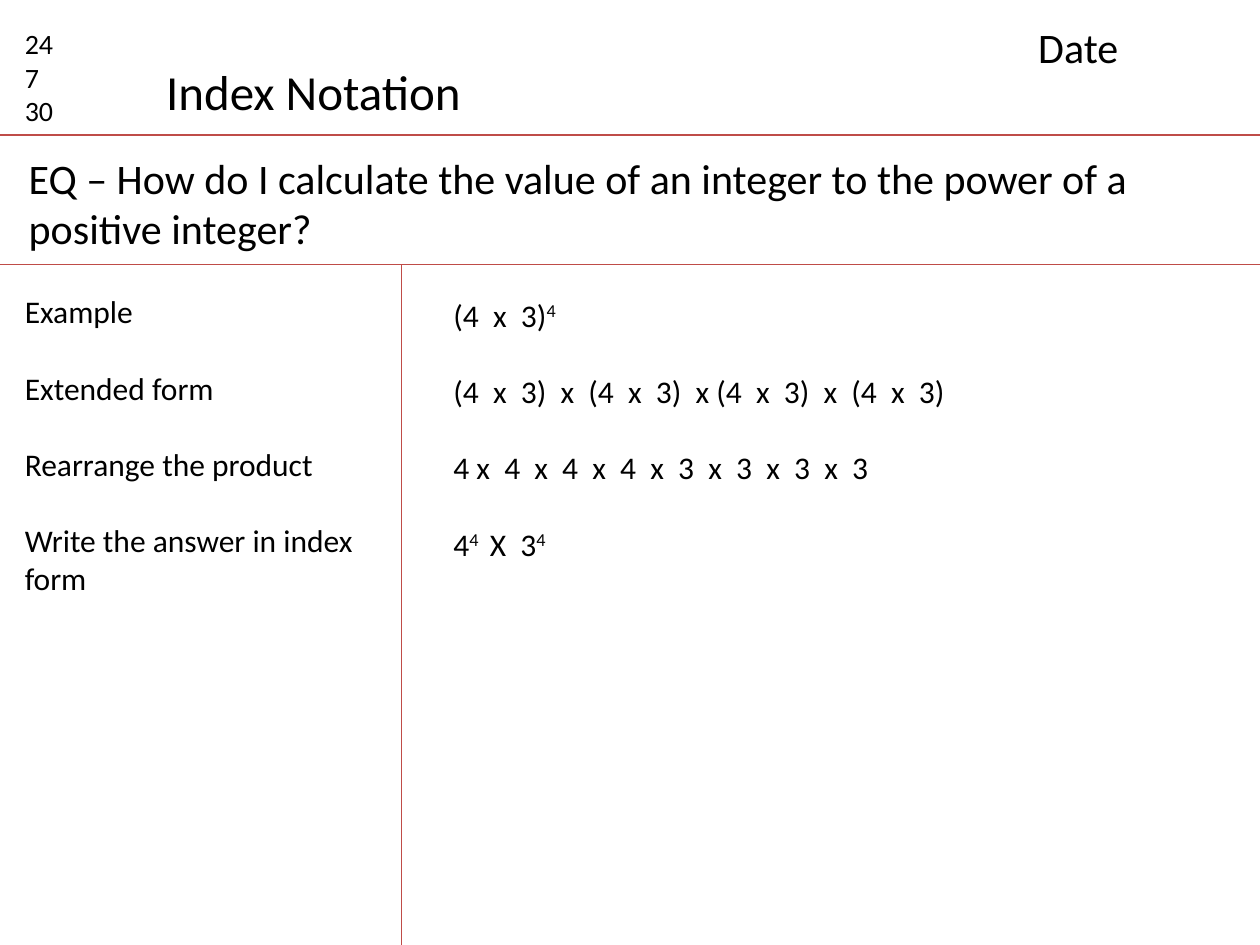
"""Build the Index Notation notes slide."""
import lxml.etree
import pptx
import pptx.dml.color
import pptx.enum.shapes
import pptx.enum.text
import pptx.oxml.ns
import pptx.util

Cm = pptx.util.Cm
Pt = pptx.util.Pt
RED = pptx.dml.color.RGBColor(0xBF, 0x4C, 0x48)
BLACK = pptx.dml.color.RGBColor(0, 0, 0)

WIDTH, HEIGHT = 25.4, 19.05
TITLE_RULE, QUESTION_RULE, MARGIN_RULE = 2.72, 5.33, 8.1

deck = pptx.Presentation()
deck.slide_width, deck.slide_height = Cm(WIDTH), Cm(HEIGHT)
page = deck.slides.add_slide(deck.slide_layouts[6])


def add_rule(x1, y1, x2, y2):
    rule = page.shapes.add_connector(
        pptx.enum.shapes.MSO_CONNECTOR.STRAIGHT, Cm(x1), Cm(y1), Cm(x2), Cm(y2))
    rule.line.color.rgb = RED
    rule.line.width = Pt(0.75)
    lxml.etree.SubElement(rule._element.spPr, pptx.oxml.ns.qn("a:effectLst"))


def add_text(left, top, width, height, size, lines, gap=0, wrap=True):
    box = page.shapes.add_textbox(Cm(left), Cm(top), Cm(width), Cm(height))
    frame = box.text_frame
    frame.word_wrap = wrap
    frame.auto_size = pptx.enum.text.MSO_AUTO_SIZE.SHAPE_TO_FIT_TEXT
    for row, line in enumerate(lines):
        para = frame.paragraphs[0] if row == 0 else frame.add_paragraph()
        if row and gap:
            para.space_before = Pt(gap)
        for position, part in enumerate(line):
            span = para.add_run()
            span.text = part
            span.font.name = "Calibri"
            span.font.size = Pt(size)
            span.font.color.rgb = BLACK
            if position % 2:
                span._r.get_or_add_rPr().set("baseline", "30000")


add_rule(0, TITLE_RULE, WIDTH, TITLE_RULE)
add_rule(0, QUESTION_RULE, WIDTH, QUESTION_RULE)
add_rule(MARGIN_RULE, QUESTION_RULE, MARGIN_RULE, HEIGHT)

add_text(0.25, 0.41, 1.6, 2.31, 16, [["24"], ["7"], ["30"]])
add_text(3.1, 1.12, 6.53, 1.45, 28, [["Index Notation"]], wrap=False)
add_text(20.68, 0.3, 4.39, 1.27, 24, [["Date"]])
add_text(0.33, 2.95, 23.95, 2.31, 24, [
    ["EQ – How do I calculate the value of an integer to the power of a positive integer?"]])

steps = [
    ["Example"],
    ["Extended form"],
    ["Rearrange the product"],
    ["Write the answer in index form"],
]
working = [
    ["(4  x  3)", "4"],
    ["(4  x  3)  x  (4  x  3)  x (4  x  3)  x  (4  x  3)"],
    ["4 x  4  x  4  x  4  x  3  x  3  x  3  x  3"],
    ["4", "4 ", " X  3", "4"],
]
add_text(0.25, 5.77, 7.16, 6.4, 18, steps, gap=22)
add_text(8.89, 5.84, 16.51, 5.64, 18, working, gap=22)

deck.save("out.pptx")
